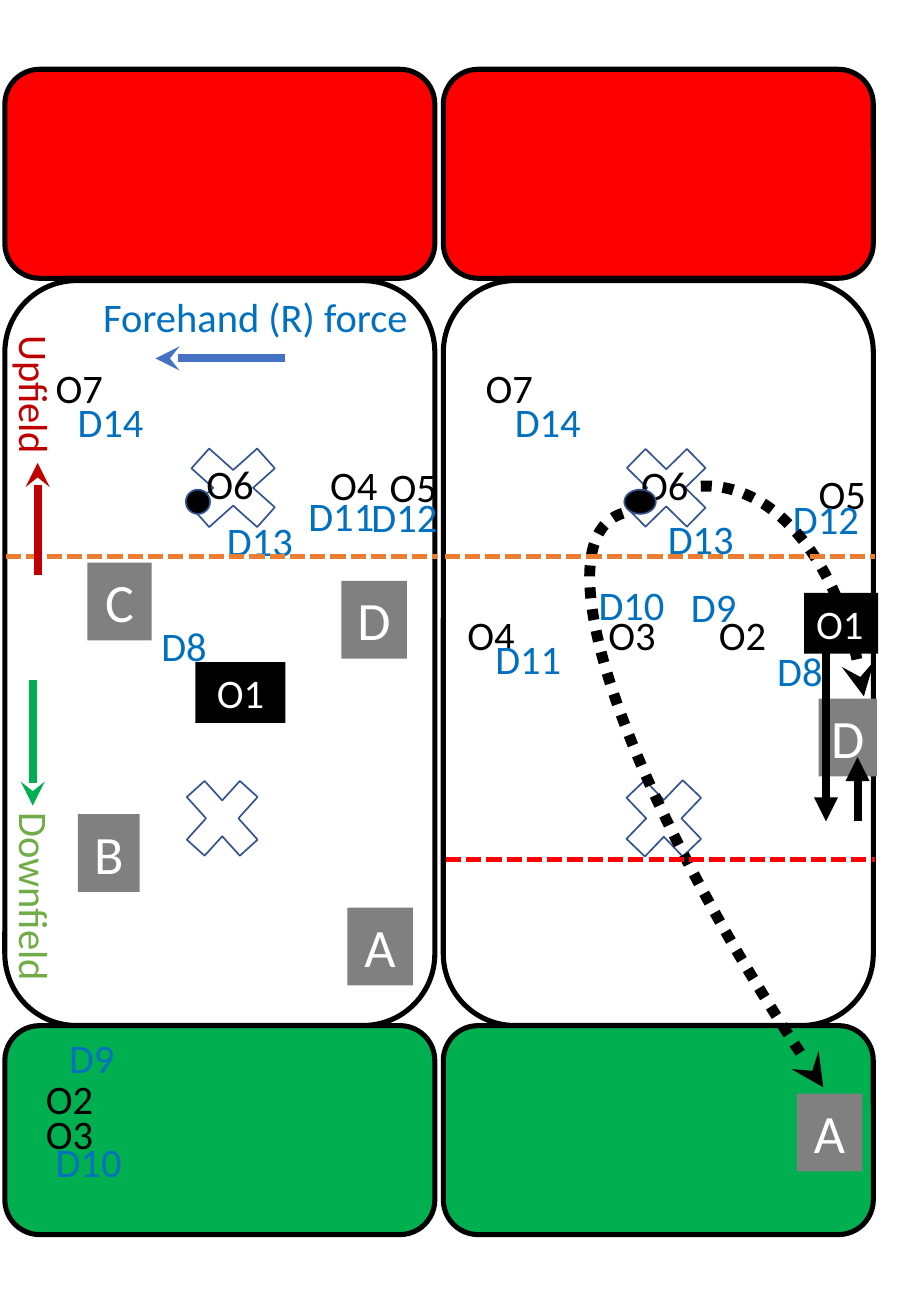
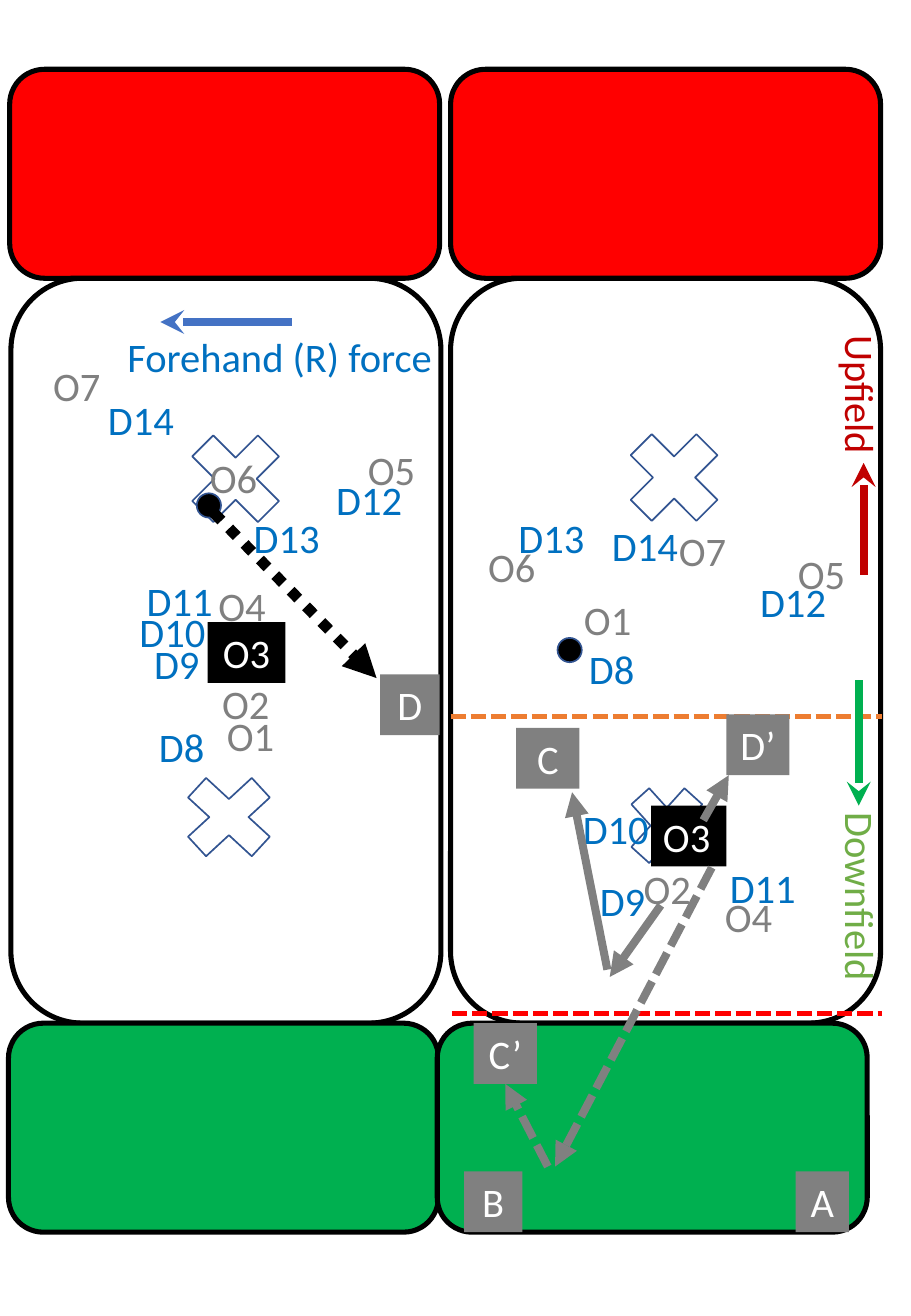
from dataclasses import dataclass
from typing import Any

from lxml import etree
from pptx import Presentation
from pptx import util as u
from pptx.dml.color import RGBColor
from pptx.enum import dml, shapes, text
from pptx.oxml.ns import qn

# Grid: ten columns or rows to the inch
CELL = u.Inches(0.1)
COLUMNS, ROWS = 75, 108.3
FONT = "Calibri"
ZONE_WIDTH, END_HEIGHT, FIELD_HEIGHT = 35.4, 17.2, 61.3
LABEL_HEIGHT, DISC = 5, 2

BLACK = RGBColor(0x00, 0x00, 0x00)
WHITE = RGBColor(0xFF, 0xFF, 0xFF)
GREY = RGBColor(0x80, 0x80, 0x80)
RED = RGBColor(0xFF, 0x00, 0x00)
GREEN = RGBColor(0x00, 0xB0, 0x50)
DEFENCE_BLUE = RGBColor(0x00, 0x70, 0xC0)
FORCE_BLUE = RGBColor(0x44, 0x72, 0xC4)
OUTLINE_BLUE = RGBColor(0x32, 0x54, 0x91)
ORANGE = RGBColor(0xED, 0x7D, 0x31)
UPFIELD_RED = RGBColor(0xC0, 0x00, 0x00)
DOWNFIELD_GREEN = RGBColor(0x70, 0xAD, 0x47)

SHAPE = shapes.MSO_SHAPE
DOTS = dml.MSO_LINE.ROUND_DOT
DASHES = dml.MSO_LINE.SQUARE_DOT


@dataclass(frozen=True)
class Box:
    left: float
    top: float
    width: float
    height: float


@dataclass(frozen=True)
class Label:
    wording: str
    left: float
    top: float
    width: float


@dataclass(frozen=True)
class Tag(Label):
    fill: RGBColor = GREY
    size: int = 24
    centred: bool = True


@dataclass(frozen=True)
class Line:
    start: tuple[float, float]
    end: tuple[float, float]
    color: RGBColor = GREY
    width: float = 4.75
    dash: Any = None
    head: str = ""


@dataclass(frozen=True)
class Throw:
    box: Box
    rotation: float = 0
    flipped: bool = False


@dataclass(frozen=True)
class Half:
    left: float
    field_top: float
    red_left: float
    green_left: float
    marks: tuple[Box, ...]


@dataclass(frozen=True)
class Play:
    offence: RGBColor
    halves: tuple[Half, ...]
    labels: tuple[Label, ...]
    tags: tuple[Tag, ...]
    discs: tuple[Box, ...]
    lines: tuple[Line, ...]
    arrows: tuple[Line, ...]
    force_arrow: Line
    force_label: Label
    compass_shift: float
    throws: tuple[Throw, ...] = ()


def grid(*cells: float) -> list[int]:
    return [round(cell * CELL) for cell in cells]


def apply(target: Any, look: dict[str, Any]) -> None:
    for name, value in look.items():
        setattr(target, name, value)


def style_line(line: Any, color: RGBColor, width: float, dash: Any = None, head: str = "") -> None:
    line.fill.solid()
    line.fill.fore_color.rgb = color
    apply(line, {"width": u.Pt(width), "dash_style": dash})
    if head:
        etree.SubElement(line._get_or_add_ln(), qn("a:tailEnd"), type=head)


def add_shape(slide: Any, kind: Any, box: Box, color: RGBColor, width: float,
              fill: RGBColor | None = None, dash: Any = None, head: str = "") -> Any:
    shape = slide.shapes.add_shape(kind, *grid(box.left, box.top, box.width, box.height))
    shape.shadow.inherit = False
    if fill is None:
        shape.fill.background()
    else:
        shape.fill.solid()
        shape.fill.fore_color.rgb = fill
    style_line(shape.line, color, width, dash, head)
    return shape


def add_line(slide: Any, line: Line) -> None:
    connector = slide.shapes.add_connector(
        shapes.MSO_CONNECTOR.STRAIGHT, *grid(*line.start, *line.end))
    style_line(connector.line, line.color, line.width, line.dash, line.head)
    etree.SubElement(connector._element.spPr, qn("a:effectLst"))


def add_label(slide: Any, label: Label, color: RGBColor, size: int = 24,
              centred: bool = False, rotation: float = 0) -> Any:
    height = LABEL_HEIGHT if size == 24 else 6.4
    shape = slide.shapes.add_textbox(*grid(label.left, label.top, label.width, height))
    shape.rotation = rotation
    apply(shape.text_frame, {"word_wrap": True, "auto_size": text.MSO_AUTO_SIZE.SHAPE_TO_FIT_TEXT})
    paragraph = shape.text_frame.paragraphs[0]
    paragraph.alignment = text.PP_ALIGN.CENTER if centred else text.PP_ALIGN.LEFT
    run = paragraph.add_run()
    run.text = label.wording
    apply(run.font, {"name": FONT, "size": u.Pt(size)})
    run.font.color.rgb = color
    return shape


def add_tag(slide: Any, tag: Tag) -> None:
    shape = add_label(slide, tag, WHITE, tag.size, tag.centred)
    shape.fill.solid()
    shape.fill.fore_color.rgb = tag.fill


def add_half(slide: Any, half: Half) -> None:
    green_top = half.field_top + FIELD_HEIGHT
    zones = (
        (half.left, half.field_top, FIELD_HEIGHT, None),
        (half.green_left, green_top, END_HEIGHT, GREEN),
        (half.red_left, 5.7, END_HEIGHT, RED),
    )
    for left, top, height, fill in zones:
        add_shape(slide, SHAPE.ROUNDED_RECTANGLE, Box(left, top, ZONE_WIDTH, height), BLACK, 3, fill)
    for mark in half.marks:
        add_shape(slide, SHAPE.MATH_MULTIPLY, mark, OUTLINE_BLUE, 1)


def add_throw(slide: Any, throw: Throw) -> None:
    arc = add_shape(slide, SHAPE.ARC, throw.box, BLACK, 6.5, dash=DOTS, head="stealth")
    arc.adjustments[0], arc.adjustments[1] = 161.32, 202.58
    arc.rotation = throw.rotation
    if throw.flipped:
        arc._element.spPr.xfrm.set("flipH", "1")


def add_compass(slide: Any, shift: float) -> None:
    add_label(slide, Label("Upfield", shift - 3.8, 30.8, 13.4), UPFIELD_RED, rotation=90)
    add_label(slide, Label("Downfield", shift - 5.7, 72, 17.2), DOWNFIELD_GREEN, rotation=90)
    add_line(slide, Line((shift + 2.7, 56), (shift + 2.7, 66.3), GREEN, head="stealth"))
    add_line(slide, Line((shift + 3.1, 47.3), (shift + 3.1, 38.1), UPFIELD_RED, head="stealth"))


def draw_play(slide: Any, play: Play) -> None:
    for half in play.halves:
        add_half(slide, half)
    for label in play.labels:
        add_label(slide, label, play.offence if label.wording[0] == "O" else DEFENCE_BLUE)
    for throw in play.throws:
        add_throw(slide, throw)
    for line in play.lines:
        add_line(slide, line)
    for tag in play.tags:
        add_tag(slide, tag)
    for disc in play.discs:
        add_shape(slide, SHAPE.OVAL, disc, OUTLINE_BLUE, 1, BLACK)
    for arrow in (*play.arrows, play.force_arrow):
        add_line(slide, arrow)
    add_label(slide, play.force_label, DEFENCE_BLUE)
    add_compass(slide, play.compass_shift)


# Long throws from the stack
LONG_PLAY = Play(
    offence=BLACK,
    halves=(
        Half(36.5, 23.1, 36.5, 36.5, (Box(50.2, 62.7, 8.9, 9.3), Box(50.1, 35.5, 9.5, 9.3))),
        Half(0.4, 23.1, 0.4, 0.4, (Box(14.1, 62.7, 8.4, 9.3), Box(14, 35.5, 10.4, 9.3))),
    ),
    labels=(
        Label("O2", 58.2, 49.7, 6.8), Label("O3", 49.1, 49.7, 6.8),
        Label("O4", 37.5, 49.7, 6.8), Label("O5", 66.4, 38.1, 6.8),
        Label("O6", 51.8, 37.4, 6.1), Label("O7", 39, 29.4, 6.8),
        Label("D8", 63, 52.7, 6.8), Label("D9", 55.9, 47.4, 6.8),
        Label("D10", 48.3, 47.2, 9), Label("D11", 39.8, 51.7, 9),
        Label("D12", 64.3, 40.2, 9), Label("D13", 54, 41.8, 9),
        Label("D14", 41.4, 32.2, 9),
        Label("O2", 2.8, 87.9, 12.6), Label("O3", 2.8, 90.8, 12.6),
        Label("O4", 26.2, 37.4, 7.6), Label("O5", 31.1, 37.5, 7.2),
        Label("O6", 16, 37.3, 6.5), Label("O7", 3.6, 29.4, 7),
        Label("D8", 12.3, 50.6, 7.8), Label("D9", 4.7, 84.5, 12.6),
        Label("D10", 3.6, 93.1, 16.6), Label("D11", 24.4, 39.9, 8.8),
        Label("D12", 29.6, 40, 8), Label("D13", 17.7, 42, 7.8),
        Label("D14", 5.4, 32.2, 9.8),
    ),
    tags=(
        Tag("D", 67.4, 57.5, 4.8, size=32),
        Tag("O1", 66.2, 48.8, 6.1, BLACK, centred=False),
        Tag("O1", 16.1, 54.5, 7.4, BLACK),
        Tag("A", 28.6, 74.7, 5.4, size=32), Tag("B", 6.4, 67, 5.1, size=32),
        Tag("C", 7.2, 46.3, 5.3, size=32), Tag("D", 28.1, 47.8, 5.4, size=32),
        Tag("A", 65.6, 90, 5.4, size=32),
    ),
    discs=(Box(51.4, 40.3, 2.6, DISC), Box(15.3, 40.3, DISC, DISC)),
    lines=(
        Line((36.7, 70.7), (72, 70.7), RED, 3, DASHES),
        Line((36.6, 45.8), (72, 45.8), ORANGE, 3, DASHES),
        Line((0.5, 45.8), (36, 45.8), ORANGE, 3, DASHES),
    ),
    arrows=(
        Line((68, 53.1), (68, 67.6), BLACK, head="triangle"),
        Line((70.6, 67.6), (70.6, 62.3), BLACK, head="triangle"),
    ),
    force_arrow=Line((23.5, 29.5), (12.8, 29.5), FORCE_BLUE, head="stealth"),
    force_label=Label("Forehand (R) force", 7.5, 23.5, 36.8),
    compass_shift=0,
    throws=(
        Throw(Box(44.8, 40, 26.7, 45.3)),
        Throw(Box(68.4, 32.7, 26.2, 107.1), 324.4, True),
    ),
)

# Cuts out of the middle
CUT_PLAY = Play(
    offence=GREY,
    halves=(
        Half(0.9, 22.9, 0.8, 0.7, (Box(13.8, 62.6, 10.1, 9.3), Box(14.2, 34.2, 10.4, 10.4))),
        Half(37.1, 22.9, 37.1, 36, (Box(50.7, 63.3, 8.4, 9.3), Box(50.3, 34.1, 10.4, 10.4))),
    ),
    labels=(
        Label("O2", 17.3, 55.4, 6.2), Label("O1", 17.7, 58, 6.3),
        Label("O4", 17, 47.3, 8.5), Label("O6", 16.3, 36.8, 9.2),
        Label("O7", 3.4, 29.2, 8.3), Label("O5", 29.3, 36.1, 6.7),
        Label("D8", 12.1, 58.9, 7.9), Label("D9", 11.7, 52.1, 7.9),
        Label("D10", 10.5, 49.5, 7.5), Label("D11", 11.1, 46.9, 7.7),
        Label("D12", 26.7, 38.6, 7.7), Label("D13", 19.9, 41.7, 8),
        Label("D14", 7.9, 32, 10.4),
        Label("O1", 47.1, 48.5, 6.3), Label("O2", 52, 70.6, 6.2),
        Label("O4", 58.7, 72.9, 7.3), Label("O5", 64.7, 44.7, 6.7),
        Label("O6", 39.2, 44.1, 9.2), Label("O7", 54.9, 42.8, 8.3),
        Label("D8", 47.5, 52.5, 8.2), Label("D9", 48.4, 71.6, 6.5),
        Label("D10", 47, 65.7, 8.7), Label("D11", 59.1, 70.5, 8.1),
        Label("D12", 61.6, 47, 7.7), Label("D13", 41.7, 41.7, 8),
        Label("D14", 49.4, 42.4, 10.4),
    ),
    tags=(
        Tag("O3", 17.1, 51.2, 6.4, BLACK),
        Tag("O3", 53.6, 66.3, 6.2, BLACK, centred=False),
        Tag("C", 42.5, 59.9, 5.2), Tag("D’", 59.8, 58.8, 5.2),
        Tag("A", 65.5, 96.4, 4.4), Tag("B", 38.2, 96.4, 4.8),
        Tag("D", 31.3, 55.5, 4.9), Tag("C’", 39, 84.2, 5.2),
    ),
    discs=(Box(16.2, 40.6, DISC, DISC), Box(45.9, 52.5, DISC, DISC)),
    lines=(
        Line((37.1, 59), (72.6, 59), ORANGE, 3, DASHES),
        Line((37.2, 83.4), (72.6, 83.4), RED, 3, DASHES),
    ),
    arrows=(
        Line((54.4, 74.5), (50.2, 80.4), head="triangle"),
        Line((50, 79.8), (47.1, 65.2), head="triangle"),
        Line((17.6, 42.2), (31, 55.8), BLACK, 6.5, DOTS, "triangle"),
        Line((57.9, 67.5), (60, 63.8), head="triangle"),
        Line((58.6, 71.4), (45.7, 96), dash=DASHES, head="triangle"),
        Line((45.1, 96), (41.6, 89.2), dash=DASHES, head="triangle"),
    ),
    force_arrow=Line((24, 26.5), (13.2, 26.5), FORCE_BLUE, head="stealth"),
    force_label=Label("Forehand (R) force", 9.5, 26.8, 28.4),
    compass_shift=68,
)


def main() -> None:
    presentation = Presentation()
    presentation.slide_width, presentation.slide_height = grid(COLUMNS, ROWS)
    for play in (LONG_PLAY, CUT_PLAY):
        draw_play(presentation.slides.add_slide(presentation.slide_layouts[6]), play)
    presentation.save("out.pptx")


if __name__ == "__main__":
    main()
